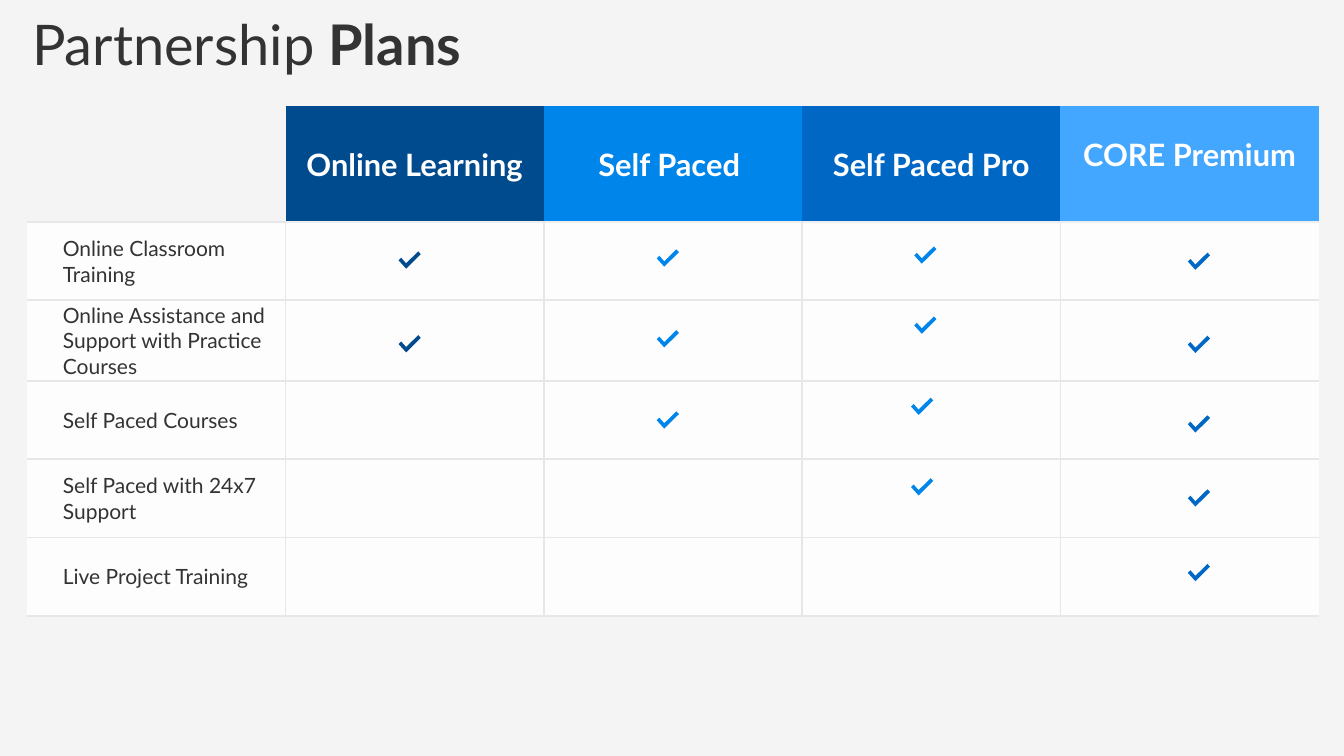
from lxml import etree
from pptx import Presentation
from pptx import util as u
from pptx.dml.color import RGBColor
from pptx.enum import text
from pptx.oxml import ns

COLORS = {
    "background": "F4F4F4", "ink": "333333", "white": "FFFFFF",
    "grid": "E7E7E7", "header_edge": "EEEEEE",
    "navy": "004B8D", "azure": "0086EA", "blue": "0068C4", "sky": "43A7FF",
}
PLANS = [("Online Learning", "navy"), ("Self Paced ", "azure"),
         ("Self Paced Pro", "blue"), ("CORE Premium", "sky")]
FEATURES = ["Online Classroom Training",
            "Online Assistance and Support with Practice Courses",
            "Self Paced Courses", "Self Paced with 24x7 Support",
            "Live Project Training"]
# Check marks by plan: colour and (left, top) in centimetres
CHECKS = [
    ("navy", [(20.09, 12.67), (20.09, 16.89)]),
    ("azure", [(33.1, 12.57), (33.1, 16.64), (33.1, 20.73)]),
    ("azure", [(46.08, 12.42), (46.08, 15.95), (45.92, 20.04), (45.92, 24.1)]),
    ("blue", [(59.87, 12.73), (59.87, 16.92), (59.87, 20.93),
              (59.87, 24.66), (59.87, 28.42)]),
]
CHECK_OUTLINE = [(0.13, 0.32), (0.38, 0.6), (0.99, 0), (1.12, 0.14),
                 (0.38, 0.87), (0, 0.45)]
NO_STYLE = "{2D5ABB26-0587-4C30-8999-92F81FD0307C}"


def add_span(para, words, size, color, bold=False):
    span = para.add_run()
    span.text = words
    span.font.name = "Lato"
    span.font.size = u.Pt(size)
    span.font.bold = bold
    span.font.color.rgb = RGBColor.from_string(COLORS[color])


def add_borders(cell, edges):
    """Draw 3 pt borders; edges maps side tags (lnL, lnR, lnT, lnB) to colours."""
    props = cell._tc.get_or_add_tcPr()
    for place, side in enumerate(("lnL", "lnR", "lnT", "lnB")):
        line = etree.Element(ns.qn("a:" + side), w=str(u.Pt(3)))
        if side in edges:
            fill = etree.SubElement(line, ns.qn("a:solidFill"))
            etree.SubElement(fill, ns.qn("a:srgbClr"), val=COLORS[edges[side]])
        else:
            etree.SubElement(line, ns.qn("a:noFill"))
        props.insert(place, line)


deck = Presentation()
deck.slide_width, deck.slide_height = u.Cm(67.74), u.Cm(38.1)
page = deck.slides.add_slide(deck.slide_layouts[6])
page.background.fill.solid()
page.background.fill.fore_color.rgb = RGBColor.from_string(COLORS["background"])

# Plan table
frame = page.shapes.add_table(len(FEATURES) + 1, len(PLANS) + 1,
                              u.Cm(1.37), u.Cm(5.36), u.Cm(65.1), u.Cm(25.54))
table = frame.table
table.first_row = table.horz_banding = False
table._tbl.tblPr.find(ns.qn("a:tableStyleId")).text = NO_STYLE
for column in table.columns:
    column.width = u.Cm(13.02)
for index, row in enumerate(table.rows):
    row.height = u.Cm(3.94 if index else 5.84)

# Header row
table.cell(0, 0).fill.background()
add_borders(table.cell(0, 0), {"lnB": "grid"})
for col, (plan, color) in enumerate(PLANS, 1):
    cell = table.cell(0, col)
    cell.vertical_anchor = text.MSO_ANCHOR.MIDDLE
    cell.fill.solid()
    cell.fill.fore_color.rgb = RGBColor.from_string(COLORS[color])
    para = cell.text_frame.paragraphs[0]
    para.alignment = text.PP_ALIGN.CENTER
    add_span(para, plan, 44, "white", True)
    add_borders(cell, {"lnB": "header_edge"})
table.cell(0, len(PLANS)).margin_bottom = u.Cm(1.14)

# Feature rows
for row, feature in enumerate(FEATURES, 1):
    for col in range(len(PLANS) + 1):
        cell = table.cell(row, col)
        cell.fill.solid()
        cell.fill.fore_color.rgb = RGBColor.from_string(COLORS["white"])
        shade = cell._tc.tcPr.find(".//" + ns.qn("a:srgbClr"))
        etree.SubElement(shade, ns.qn("a:alpha"), val="90000")
        edges = {"lnT": "header_edge" if row == 1 and col else "grid", "lnB": "grid"}
        if col > 0:
            edges["lnL"] = "grid"
        if col < len(PLANS):
            edges["lnR"] = "grid"
        add_borders(cell, edges)
    label = table.cell(row, 0)
    label.vertical_anchor = text.MSO_ANCHOR.MIDDLE
    label.margin_left = u.Cm(1.8)
    add_span(label.text_frame.paragraphs[0], feature, 30, "ink")

# Check marks, outlined in hundredths of a centimetre
for color, spots in CHECKS:
    for left, top in spots:
        points = [((left + x) * 100, (top + y) * 100) for x, y in CHECK_OUTLINE]
        builder = page.shapes.build_freeform(*points[0], scale=u.Cm(0.01))
        builder.add_line_segments(points[1:], close=True)
        check = builder.convert_to_shape()
        check.shadow.inherit = False
        check.fill.solid()
        check.fill.fore_color.rgb = RGBColor.from_string(COLORS[color])
        check.line.fill.background()

# Title
box = page.shapes.add_textbox(u.Cm(1.37), u.Cm(0.74), u.Cm(23.5), u.Cm(3.33))
box.text_frame.word_wrap = False
box.text_frame.auto_size = text.MSO_AUTO_SIZE.SHAPE_TO_FIT_TEXT
para = box.text_frame.paragraphs[0]
para.line_spacing = 0.9
add_span(para, "Partnership", 80, "ink")
add_span(para, " Plans", 80, "ink", True)

deck.save("out.pptx")
